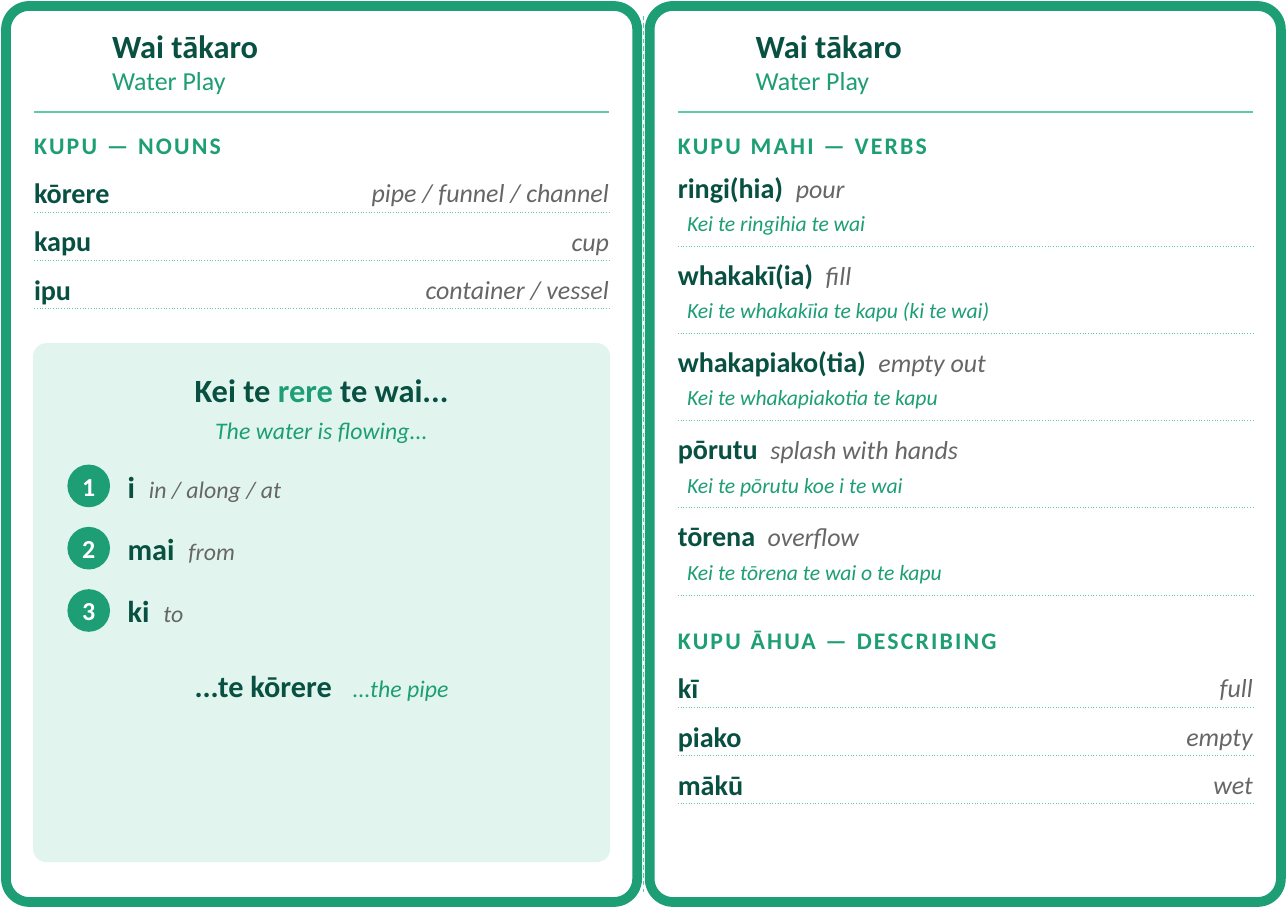
"""Build a two-card vocabulary sheet about water play."""
from collections import namedtuple

from lxml.etree import SubElement
from pptx import Presentation
from pptx.dml.color import RGBColor
from pptx.enum.shapes import MSO_CONNECTOR, MSO_SHAPE
from pptx.enum.text import MSO_ANCHOR, MSO_AUTO_SIZE, PP_ALIGN
from pptx.oxml.ns import qn
from pptx.util import Pt

GREEN = RGBColor(0x1D, 0x9E, 0x75)
DARK = RGBColor(0x08, 0x50, 0x41)
LIGHT = RGBColor(0x5D, 0xCA, 0xA5)
PALE = RGBColor(0xE1, 0xF5, 0xEE)
GREY = RGBColor(0x66, 0x66, 0x66)
WHITE = RGBColor(0xFF, 0xFF, 0xFF)

Style = namedtuple("Style", "size color bold italic spacing", defaults=(False, False, 0))
TITLE = Style(15, DARK, bold=True)
TITLE_ACCENT = Style(15, GREEN, bold=True)
SUBTITLE = Style(12, GREEN)
HEADING = Style(11, GREEN, bold=True, spacing=1)
WORD = Style(13, DARK, bold=True)
WORD_GAP = Style(13, DARK, bold=True, spacing=2.9)
MEANING = Style(12, GREY, italic=True)
EXAMPLE = Style(10, GREEN, italic=True)
TRANSLATION = Style(11, GREEN, italic=True)
NUMBER = Style(12, WHITE, bold=True)
PARTICLE = Style(14, DARK, bold=True)
PARTICLE_GAP = Style(14, DARK, bold=True, spacing=3.2)
ENDING_GAP = Style(14, DARK, bold=True, spacing=6.4)
PARTICLE_MEANING = Style(11, GREY, italic=True)

HEADER = [[("Wai tākaro", TITLE)], [("Water Play", SUBTITLE)]]
NOUNS = [("kōrere", "pipe / funnel / channel"), ("kapu", "cup"), ("ipu", "container / vessel")]
SENTENCE = [("Kei te ", TITLE), ("rere", TITLE_ACCENT), (" te wai...", TITLE)]
PARTICLES = [("i", "in / along / at"), ("mai", "from"), ("ki", "to")]
ENDING = [("...te kōrere", PARTICLE), (" ", ENDING_GAP), ("...the pipe", TRANSLATION)]
VERBS = [
    ("ringi(hia)", "pour", "Kei te ringihia te wai"),
    ("whakakī(ia)", "fill", "Kei te whakakīia te kapu (ki te wai)"),
    ("whakapiako(tia)", "empty out", "Kei te whakapiakotia te kapu"),
    ("pōrutu", "splash with hands", "Kei te pōrutu koe i te wai"),
    ("tōrena", "overflow", "Kei te tōrena te wai o te kapu"),
]
DESCRIBING = [("kī", "full"), ("piako", "empty"), ("mākū", "wet")]

PAGE_WIDTH, PAGE_HEIGHT = 595.44, 419.76
CARD_PITCH = 297.6
MARGIN, CONTENT_WIDTH = 15.8, 265.8
RIGHT = MARGIN + CARD_PITCH
ROW_PITCH, VERB_PITCH, PARTICLE_PITCH = 22.3, 40.3, 28.8
CIRCLE = 18.7

deck = Presentation()
deck.slide_width, deck.slide_height = Pt(PAGE_WIDTH), Pt(PAGE_HEIGHT)
page = deck.slides.add_slide(deck.slide_layouts[5])


def format_font(font, style):
    font.size = Pt(style.size)
    font.bold, font.italic = style.bold, style.italic
    font.color.rgb = style.color


def write(box, paragraphs, align=PP_ALIGN.LEFT):
    frame = box.text_frame
    frame.auto_size = MSO_AUTO_SIZE.NONE
    frame.word_wrap = True
    frame.vertical_anchor = MSO_ANCHOR.MIDDLE
    frame.margin_left = frame.margin_top = frame.margin_right = frame.margin_bottom = 0
    for index, spans in enumerate(paragraphs):
        para = frame.add_paragraph() if index else frame.paragraphs[0]
        para.alignment = align
        para.font.name = "Calibri"
        if len(spans) == 1:
            format_font(para.font, spans[0][1])
        for words, style in spans:
            span = para.add_run()
            span.text = words
            if len(spans) > 1:
                format_font(span.font, style)
            if style.spacing:
                span._r.get_or_add_rPr().set("spc", str(round(style.spacing * 100)))


def add_text(left, top, width, height, spans, align=PP_ALIGN.LEFT):
    box = page.shapes.add_textbox(Pt(left), Pt(top), Pt(width), Pt(height))
    write(box, [spans], align)


def add_line(start, end, weight, dash=None):
    line = page.shapes.add_connector(MSO_CONNECTOR.STRAIGHT, *map(Pt, start + end))
    line.line.color.rgb = LIGHT
    line.line.width = Pt(weight)
    if dash:
        SubElement(line.line._get_or_add_ln(), qn("a:prstDash")).set("val", dash)
    SubElement(line._element.spPr, qn("a:effectLst"))


def add_rule(left, top, weight=0.3, dash="dot"):
    add_line((left, top), (left + CONTENT_WIDTH, top), weight, dash)


def add_shape(kind, left, top, width, height, fill, line, weight=1, corner=None):
    shape = page.shapes.add_shape(kind, Pt(left), Pt(top), Pt(width), Pt(height))
    shape.shadow.inherit = False
    if fill is None:
        shape.fill.background()
    else:
        shape.fill.solid()
        shape.fill.fore_color.rgb = fill
    shape.line.color.rgb = line
    shape.line.width = Pt(weight)
    if corner:
        shape.adjustments[0] = corner
    return shape


def add_card(offset, header):
    add_shape(MSO_SHAPE.ROUNDED_RECTANGLE, offset + 2.8, 2.8, 291.8, 414.2,
              None, GREEN, 4.5, 0.037)
    header.left, header.top = Pt(offset + 51.8), Pt(10.1)
    header.width, header.height = Pt(180), Pt(36)
    write(header, HEADER)
    add_rule(offset + MARGIN, 51.8, 0.5, None)


def add_heading(left, top, words):
    add_text(left, top, CONTENT_WIDTH, 15.8, [(words, HEADING)])


def add_word_list(left, top, entries, word_width, meaning_width):
    for index, (word, meaning) in enumerate(entries):
        row = top + index * ROW_PITCH
        add_text(left, row, word_width, ROW_PITCH, [(word, WORD)])
        add_text(left + CONTENT_WIDTH - meaning_width, row, meaning_width, ROW_PITCH,
                 [(meaning, MEANING)], PP_ALIGN.RIGHT)
        add_rule(left, row + 20.2)


add_line((297.7, 7.2), (297.7, PAGE_HEIGHT - 7.2), 0.5, "dash")

add_card(0, page.shapes.title)
add_heading(MARGIN, 59, "KUPU — NOUNS")
add_word_list(MARGIN, 77.8, NOUNS, 90.7, 191.2)
add_shape(MSO_SHAPE.ROUNDED_RECTANGLE, MARGIN, 159.1, CONTENT_WIDTH, 239, PALE, PALE, corner=0.024)
add_text(28.8, 169.2, 239.8, 21.6, SENTENCE, PP_ALIGN.CENTER)
add_text(28.8, 190.8, 239.8, 15.8, [("The water is flowing...", TRANSLATION)], PP_ALIGN.CENTER)
for index, (particle, meaning) in enumerate(PARTICLES):
    top = 215.3 + index * PARTICLE_PITCH
    circle = add_shape(MSO_SHAPE.OVAL, 31.7, top, CIRCLE, CIRCLE, GREEN, GREEN)
    write(circle, [[(str(index + 1), NUMBER)]], PP_ALIGN.CENTER)
    add_text(59, top, 203.8, CIRCLE,
             [(particle, PARTICLE), (" ", PARTICLE_GAP), (meaning, PARTICLE_MEANING)])
add_text(31.7, 306, 234, 21.6, ENDING, PP_ALIGN.CENTER)

add_card(CARD_PITCH, page.shapes.add_textbox(0, 0, 0, 0))
add_heading(RIGHT, 59, "KUPU MAHI — VERBS")
for index, (verb, meaning, example) in enumerate(VERBS):
    top = 77.8 + index * VERB_PITCH
    add_text(RIGHT, top, CONTENT_WIDTH, 17.3,
             [(verb, WORD), (" ", WORD_GAP), (meaning, MEANING)])
    add_text(RIGHT + 4.3, top + 17.3, CONTENT_WIDTH - 4.3, 15.8, [(example, EXAMPLE)])
    add_rule(RIGHT, top + 36)
add_heading(RIGHT, 288, "KUPU ĀHUA — DESCRIBING")
add_word_list(RIGHT, 306.7, DESCRIBING, 133.2, 149)

deck.save("out.pptx")
